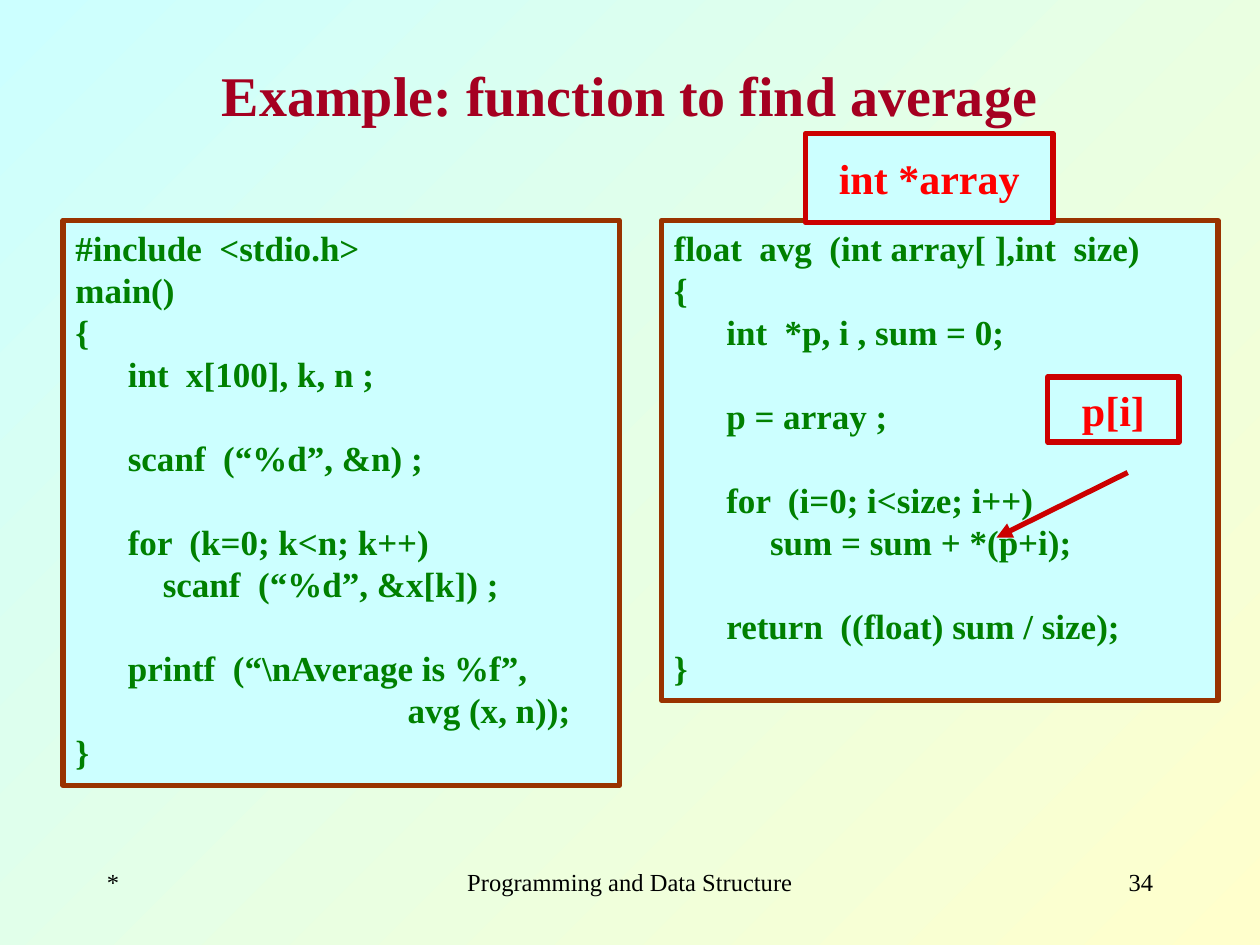
from dataclasses import dataclass

from lxml.etree import SubElement
from pptx import Presentation
from pptx.dml.color import RGBColor
from pptx.enum.shapes import MSO_CONNECTOR as Connector, MSO_SHAPE as Shape
from pptx.enum.text import MSO_ANCHOR as Anchor, PP_ALIGN as Align
from pptx.oxml.ns import qn
from pptx.util import Inches, Pt

CYAN = RGBColor(0xCC, 0xFF, 0xFF)
CREAM = RGBColor(0xFF, 0xFF, 0xCC)
MAROON = RGBColor(0xA5, 0x00, 0x21)
BROWN = RGBColor(0x99, 0x33, 0x00)
GREEN = RGBColor(0x00, 0x80, 0x00)
CRIMSON = RGBColor(0xCC, 0x00, 0x00)
RED = RGBColor(0xFF, 0x00, 0x00)
BLACK = RGBColor(0x00, 0x00, 0x00)

FONT = "Times New Roman"
COLUMNS, ROWS = 120, 90
SLIDE_WIDTH, SLIDE_HEIGHT = Inches(10), Inches(7.5)
CODE_LEADING = Pt(24)

MAIN_CODE = r"""#include  <stdio.h>
main()
{
      int  x[100], k, n ;

      scanf  (“%d”, &n) ;

      for  (k=0; k<n; k++)
          scanf  (“%d”, &x[k]) ;

      printf  (“\nAverage is %f”,
                                      avg (x, n));
}"""

AVERAGE_CODE = """float  avg  (int array[ ],int  size)
{
      int  *p, i , sum = 0;

      p = array ;

      for  (i=0; i<size; i++)
           sum = sum + *(p+i);

      return  ((float) sum / size);
}"""


@dataclass(frozen=True)
class Area:
    column: float
    row: float
    columns: float
    rows: float

    def lengths(self) -> tuple:
        return (across(self.column), down(self.row),
                across(self.columns), down(self.rows))


@dataclass(frozen=True)
class Label:
    area: Area
    text: str
    align: Align = Align.LEFT


CODE_PANELS = [
    Label(Area(6, 21, 53, 53.8), MAIN_CODE),
    Label(Area(63, 21, 53, 45.7), AVERAGE_CODE),
]
CALLOUTS = [
    Label(Area(76.7, 12.7, 23.6, 8.5), "int *array", Align.CENTER),
    Label(Area(99.8, 35.9, 12.5, 6.2), "p[i]", Align.CENTER),
]
FOOTERS = [
    Label(Area(9, 82, 25, 6), "*"),
    Label(Area(41, 82, 38, 6), "Programming and Data Structure", Align.CENTER),
    Label(Area(86, 82, 25, 6), "34", Align.RIGHT),
]


def across(columns: float) -> int:
    return round(SLIDE_WIDTH * columns / COLUMNS)


def down(rows: float) -> int:
    return round(SLIDE_HEIGHT * rows / ROWS)


def write(box, text: str, *, size: int, color: RGBColor, bold: bool = True,
          align: Align = Align.LEFT, anchor: Anchor = Anchor.TOP,
          leading=None) -> None:
    frame = box.text_frame
    frame.word_wrap = True
    frame.vertical_anchor = anchor
    para, gap = frame.paragraphs[0], 0
    for index, line in enumerate(text.split("\n")):
        if not line:
            gap += leading
            continue
        if index:
            para = frame.add_paragraph()
        para.alignment = align
        if leading:
            para.line_spacing = leading
        if gap:
            para.space_before, gap = gap, 0
        span = para.add_run()
        span.text = line
        span.font.name = FONT
        span.font.size = Pt(size)
        span.font.bold = bold
        span.font.color.rgb = color


def add_panel(page, area: Area, border: RGBColor):
    box = page.shapes.add_shape(Shape.RECTANGLE, *area.lengths())
    box.shadow.inherit = False
    box.fill.solid()
    box.fill.fore_color.rgb = CYAN
    box.line.color.rgb = border
    box.line.width = Pt(3)
    return box


def add_arrow(page, start: tuple, end: tuple) -> None:
    arrow = page.shapes.add_connector(
        Connector.STRAIGHT, across(start[0]), down(start[1]),
        across(end[0]), down(end[1]))
    arrow.line.color.rgb = CRIMSON
    arrow.line.width = Pt(3)
    SubElement(arrow.line._get_or_add_ln(), qn("a:tailEnd"), type="triangle")
    SubElement(arrow._element.spPr, qn("a:effectLst"))


def paint_background(page) -> None:
    fill = page.background.fill
    fill.gradient()
    fill.gradient_angle = 315
    for stop, color, position in zip(fill.gradient_stops, (CYAN, CREAM), (0, 1)):
        stop.color.rgb = color
        stop.position = position


def main() -> None:
    deck = Presentation()
    deck.slide_width, deck.slide_height = SLIDE_WIDTH, SLIDE_HEIGHT
    page = deck.slides.add_slide(deck.slide_layouts[5])
    paint_background(page)

    title = page.shapes.title
    title.left, title.top, title.width, title.height = Area(9, 4, 102, 10).lengths()
    write(title, "Example: function to find average", size=32, color=MAROON,
          align=Align.CENTER, anchor=Anchor.MIDDLE)

    for footer in FOOTERS:
        box = page.shapes.add_textbox(*footer.area.lengths())
        write(box, footer.text, size=14, color=BLACK, bold=False,
              align=footer.align)

    for panel in CODE_PANELS:
        write(add_panel(page, panel.area, BROWN), panel.text, size=20,
              color=GREEN, align=panel.align, leading=CODE_LEADING)

    for callout in CALLOUTS:
        write(add_panel(page, callout.area, CRIMSON), callout.text, size=24,
              color=RED, align=callout.align, anchor=Anchor.MIDDLE)

    add_arrow(page, (107.4, 45), (94.9, 51.2))
    deck.save("out.pptx")


if __name__ == "__main__":
    main()
